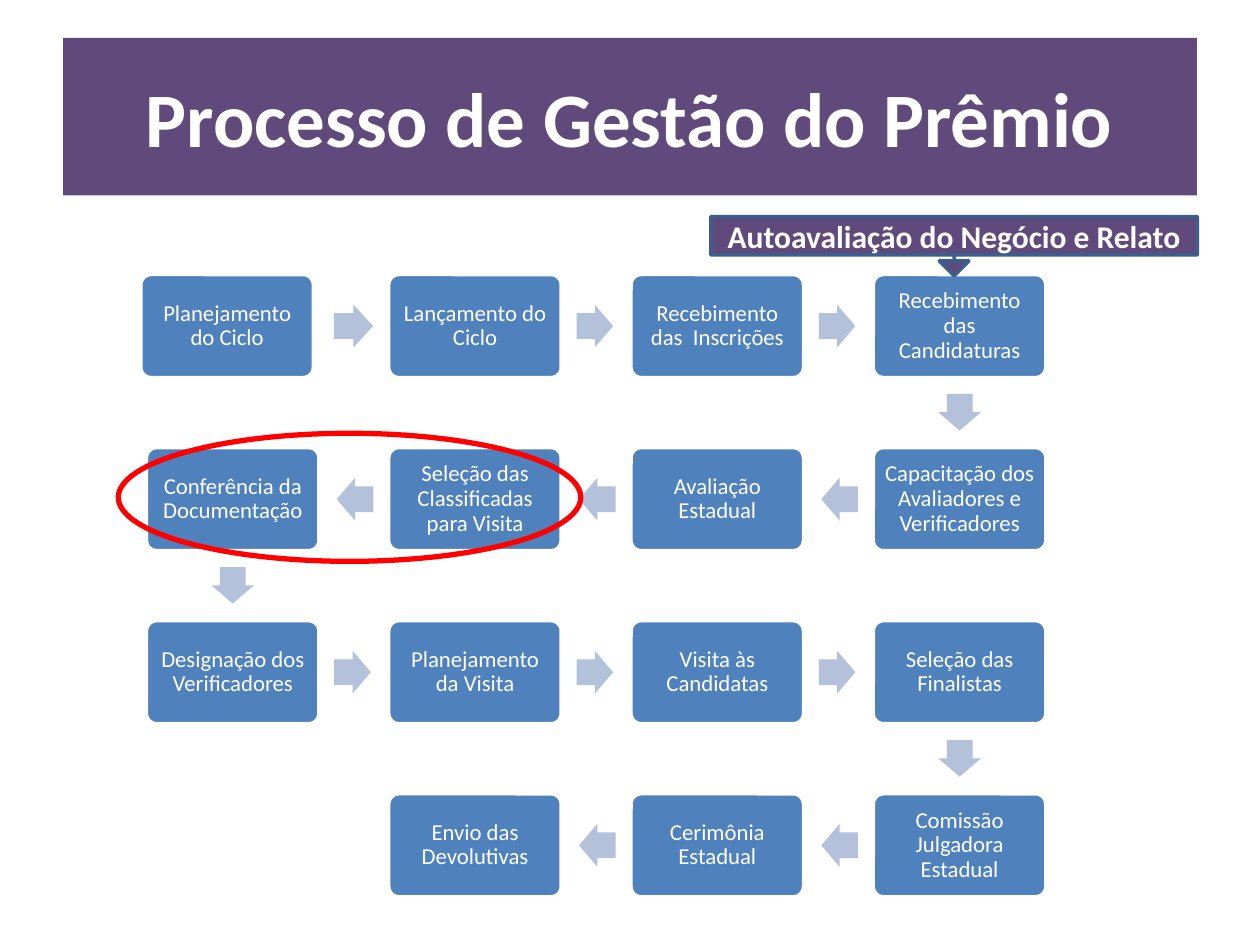
"""Build the award management process slide."""
from dataclasses import dataclass

from pptx import Presentation
from pptx.dml.color import RGBColor as Rgb
from pptx.enum import shapes as es, text as et
from pptx.util import Pt


@dataclass
class Theme:
    face: str = "Calibri"
    white: str = "FFFFFF"
    plum: str = "604A7B"
    blue: str = "4F81BD"
    pale: str = "B3C1DB"
    navy: str = "3A5F8C"
    red: str = "FF0000"
    head: float = 44
    call: float = 18
    step: float = 13


def paint(shape, fill=None, line=None, width=0):
    shape.shadow.inherit = False
    for part, tint in ((shape.fill, fill), (shape.line.fill, line)):
        if tint:
            part.solid()
            part.fore_color.rgb = Rgb.from_string(tint)
        else:
            part.background()
    if line:
        shape.line.width = Pt(width)


def write(shape, words, size, bold=False, gap=1.0, inset=None):
    frame = shape.text_frame
    frame.text = words
    form = {"word_wrap": True, "vertical_anchor": et.MSO_ANCHOR.MIDDLE}
    if inset is not None:
        for side in ("left", "top", "right", "bottom"):
            form[f"margin_{side}"] = Pt(inset)
    para = frame.paragraphs[0]
    font = para.runs[0].font
    font.color.rgb = Rgb.from_string(theme.white)
    look = {"name": theme.face, "size": Pt(size), "bold": bold}
    lay = {"alignment": et.PP_ALIGN.CENTER, "line_spacing": gap}
    for item, vals in ((frame, form), (para, lay), (font, look)):
        for key, val in vals.items():
            setattr(item, key, val)


theme = Theme()
kind = es.MSO_SHAPE
deck = Presentation()
deck.slide_width, deck.slide_height = Pt(720), Pt(540)
slide = deck.slides.add_slide(deck.slide_layouts[5])

title = slide.shapes.title
place = {"left": 36, "top": 21.6, "width": 648, "height": 90}
for key, val in place.items():
    setattr(title, key, Pt(val))
title.fill.solid()
title.fill.fore_color.rgb = Rgb.from_string(theme.plum)
write(title, "Processo de Gestão do Prêmio", theme.head, True)

rows = [
    ["Planejamento do Ciclo", "Lançamento do Ciclo",
     "Recebimento das  Inscrições", "Recebimento das Candidaturas"],
    ["Capacitação dos Avaliadores e Verificadores", "Avaliação Estadual",
     "Seleção das Classificadas para Visita", "Conferência da Documentação"],
    ["Designação dos Verificadores", "Planejamento da Visita",
     "Visita às Candidatas", "Seleção das Finalistas"],
    ["Comissão Julgadora Estadual", "Cerimônia Estadual",
     "Envio das Devolutivas"],
]
left, top, dx, dy = 83.7, 156.9, 138.45, 98.9
wide, high = 98.6, 58.9
long, thick = 20.9, 24.5

flow = slide.shapes.add_group_shape().shapes
for r, row in enumerate(rows):
    back = r % 2 == 1
    y = top + r * dy
    for c, words in enumerate(row):
        x = left + dx * (3 - c if back else c)
        first = r == c == 0
        box = flow.add_shape(kind.ROUNDED_RECTANGLE, Pt(x - 3.2 * first),
                             Pt(y), Pt(wide), Pt(high))
        box.adjustments[0] = 0.1
        paint(box, theme.blue, theme.white, 2)
        write(box, words, theme.step, gap=0.9, inset=3.6)

        if c < len(row) - 1:
            turn = 180 if back else 0
            ax = x - dx + 108.7 if back else x + 107.3
            ay = y + (high - thick) / 2
        elif r < len(rows) - 1:
            turn, ax, ay = 90, x + (wide - long) / 2, y + 66.4
        else:
            continue
        arrow = flow.add_shape(kind.RIGHT_ARROW, Pt(ax - 0.2 * first), Pt(ay),
                               Pt(long + 1.5 * first), Pt(thick))
        arrow.adjustments[0] = 0.6
        arrow.adjustments[1] = 0.5
        arrow.rotation = turn
        paint(arrow, theme.pale)

call = slide.shapes.add_shape(kind.DOWN_ARROW_CALLOUT, Pt(406.2), Pt(123.8),
                              Pt(278), Pt(33.8))
for i, val in enumerate((0, 0.25, 0.25, 0.65)):
    call.adjustments[i] = val
paint(call, theme.plum, theme.navy, 2)
write(call, "Autoavaliação do Negócio e Relato", theme.call, True)

ring = slide.shapes.add_shape(kind.OVAL, Pt(67.6), Pt(247.6),
                              Pt(264.3), Pt(73.2))
paint(ring, line=theme.red, width=3)

deck.save("out.pptx")
